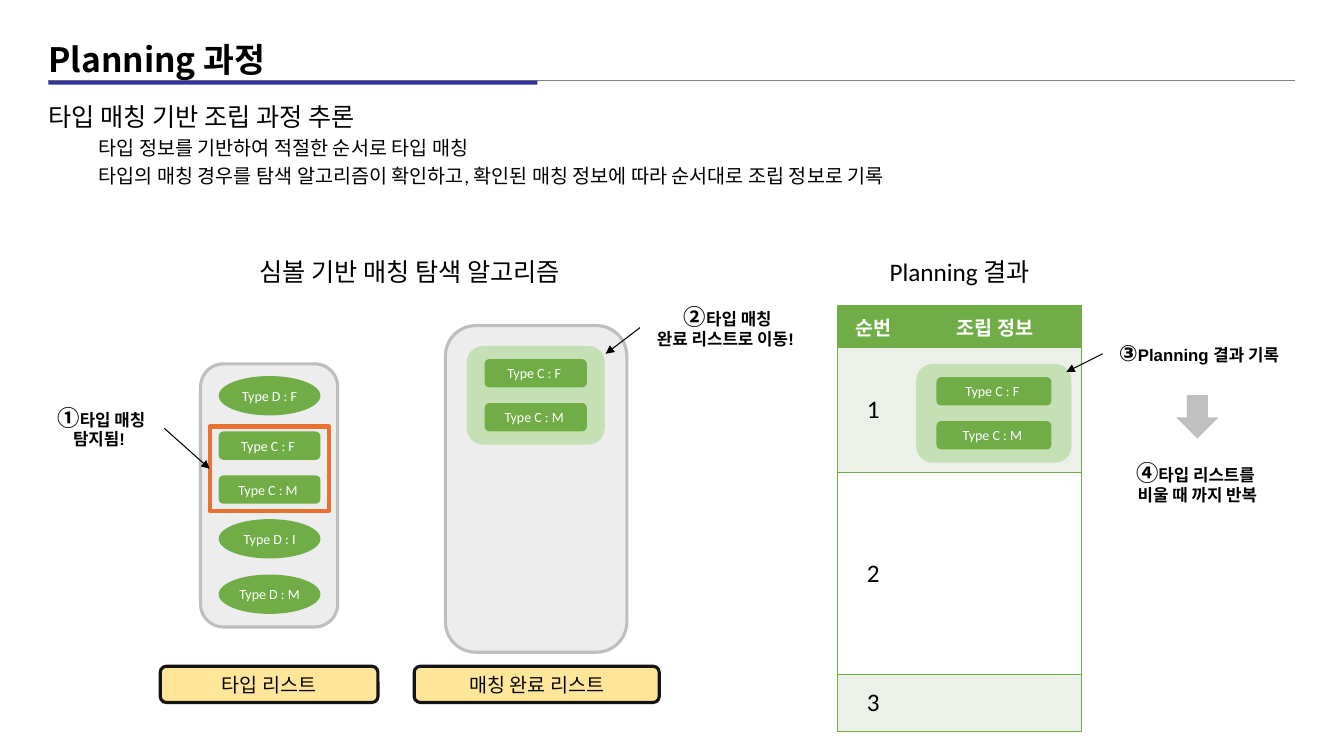
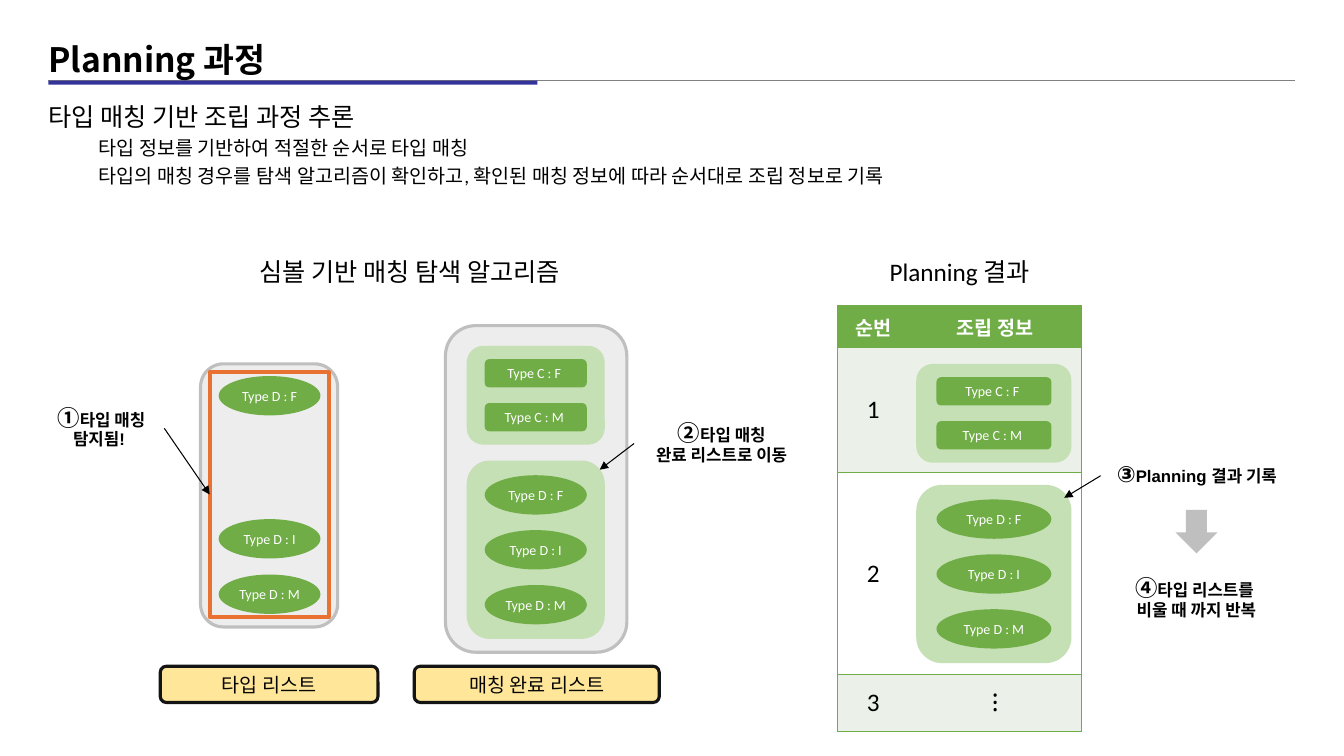
from copy import deepcopy
from dataclasses import dataclass

from lxml import etree
from pptx import Presentation
from pptx.dml.color import RGBColor
from pptx.enum.shapes import MSO_CONNECTOR, MSO_SHAPE
from pptx.enum.text import MSO_ANCHOR, PP_ALIGN
from pptx.oxml.ns import qn
from pptx.util import Pt

RECT, ROUND, OVAL, DOWN = (MSO_SHAPE.RECTANGLE, MSO_SHAPE.ROUNDED_RECTANGLE,
                           MSO_SHAPE.OVAL, MSO_SHAPE.DOWN_ARROW)
STRAIGHT = MSO_CONNECTOR.STRAIGHT
LEFT, CENTER = PP_ALIGN.LEFT, PP_ALIGN.CENTER
TOP, MIDDLE = MSO_ANCHOR.TOP, MSO_ANCHOR.MIDDLE
SIDE_LEFT, SIDE_RIGHT = 1, 3

BLACK = RGBColor(0x00, 0x00, 0x00)
WHITE = RGBColor(0xFF, 0xFF, 0xFF)
GREEN = RGBColor(0x70, 0xAD, 0x47)
PALE_GREEN = RGBColor(0xC5, 0xE0, 0xB4)
ROW_TINT = RGBColor(0xEB, 0xF1, 0xE9)
PANEL = RGBColor(0xED, 0xED, 0xED)
SILVER = RGBColor(0xBF, 0xBF, 0xBF)
RULE_GRAY = RGBColor(0x80, 0x80, 0x80)
NAVY = RGBColor(0x33, 0x33, 0x99)
CREAM = RGBColor(0xFF, 0xE6, 0x99)
INK = RGBColor(0x14, 0x14, 0x14)
LABEL_INK = RGBColor(0x06, 0x06, 0x06)
ORANGE = RGBColor(0xE9, 0x71, 0x32)

TITLE = dict(name="Noto Sans CJK KR", size=Pt(24), bold=True, color=BLACK)
HEADING = dict(name="Calibri", size=Pt(18), color=BLACK)
DETAIL = dict(name="Noto Sans CJK KR", size=Pt(14), color=BLACK)
DETAIL_CALIBRI = DETAIL | dict(name="Calibri")
LABEL = dict(name="Calibri", size=Pt(14), color=LABEL_INK)
CHIP = dict(name="Calibri", size=Pt(10), color=WHITE)
NUMBER = dict(name="Arial", size=Pt(16), bold=True, color=BLACK)
NOTE = NUMBER | dict(size=Pt(12))
TABLE_HEAD = dict(name="Calibri", size=Pt(14), bold=True, color=WHITE)
TABLE_BODY = HEADING | dict(bold=False)


@dataclass(frozen=True)
class Box:
    x: float
    y: float
    w: float
    h: float

    @property
    def pts(self) -> tuple:
        return Pt(self.x), Pt(self.y), Pt(self.w), Pt(self.h)


@dataclass(frozen=True)
class ChipKind:
    """A type family: its outline, chip height, spacing, card height and names."""
    shape: int
    height: float
    pitch: float
    card_height: float
    names: tuple


@dataclass(frozen=True)
class Step:
    """What changes between the slides."""
    cards: tuple  # (kind, y in finished list, y in result table)
    waiting: tuple  # (kind, name, y)
    frame: Box
    move_text: str
    move: Box
    record: Box
    record_drop: float
    repeat: Box
    last_cell: str


TYPE_C = ChipKind(ROUND, 20.2, 31.4, 70.6, ("Type C : F ", "Type C : M "))
TYPE_D = ChipKind(OVAL, 28.1, 39.2, 127.4, ("Type D : F", "Type D : I", "Type D : M"))
CARD_C, CARD_D = (TYPE_C, 247, 259.9), (TYPE_D, 329, 346.3)
WAITING_D = tuple((TYPE_D, n, y) for n, y in zip(TYPE_D.names, (268.6, 370.8, 410.4)))
WAITING_C = tuple((TYPE_C, n, y) for n, y in zip(TYPE_C.names, (308.2, 339.6)))

STEPS = (
    Step((CARD_C,), WAITING_D + WAITING_C, Box(149.8, 304.6, 85, 60.5),
         "완료 리스트로 이동! ", Box(457.2, 212.4, 125.3, 43.2),
         Box(787.7, 231.1, 137.5, 43.2), 13, Box(792.7, 324, 125.3, 43.2), ""),
    Step((CARD_C, CARD_D), WAITING_D, Box(149.8, 265.7, 85, 175),
         "완료 리스트로 이동", Box(452.9, 295.2, 125.3, 43.2),
         Box(786.2, 318.2, 137.5, 43.2), 15.8, Box(792, 406.1, 125.3, 43.2), "⁝"),
)


def add_runs(p, runs: list) -> None:
    """Fill a paragraph from (text, format) pairs; a newline becomes a line break."""
    for text, fmt in runs:
        for i, piece in enumerate(text.split("\n")):
            if i:
                p.add_line_break()
                p._p[-1].insert(0, deepcopy(r._r.rPr))
            r = p.add_run()
            r.text = piece
            for key, value in fmt.items():
                if key == "color":
                    r.font.color.rgb = value
                else:
                    setattr(r.font, key, value)


def add_text(shapes, box: Box, runs: list, align=CENTER, anchor=TOP, **spacing):
    sp = shapes.add_textbox(*box.pts)
    tf = sp.text_frame
    tf.word_wrap, tf.vertical_anchor = True, anchor
    p = tf.paragraphs[0]
    p.alignment = align
    for key, value in spacing.items():
        setattr(p, key, value)
    add_runs(p, runs)
    return sp


def add_box(shapes, kind: int, box: Box, fill=None, line=None, width: float = 2.25,
            runs: list = (), inset=None):
    sp = shapes.add_shape(kind, *box.pts)
    sp.shadow.inherit = False
    if fill is None:
        sp.fill.background()
    else:
        sp.fill.solid()
        sp.fill.fore_color.rgb = fill
    if line is None:
        sp.line.fill.background()
    else:
        sp.line.color.rgb, sp.line.width = line, Pt(width)
    tf = sp.text_frame
    tf.vertical_anchor = MIDDLE
    if inset is not None:
        for side in ("left", "top", "right", "bottom"):
            setattr(tf, f"margin_{side}", Pt(inset))
    if runs:
        tf.paragraphs[0].alignment = CENTER
        add_runs(tf.paragraphs[0], runs)
    return sp


def add_line(shapes, start: tuple, end: tuple, color: RGBColor, width: float):
    cx = shapes.add_connector(STRAIGHT, *(Pt(v) for v in start + end))
    cx.line.color.rgb, cx.line.width = color, Pt(width)
    etree.SubElement(cx._element.spPr, qn("a:effectLst"))
    return cx


def add_arrow(shapes, source, side: int, end: tuple):
    """Arrow from the middle of a callout's side to a point."""
    cx = add_line(shapes, (0, 0), end, BLACK, 0.75)
    cx.begin_connect(source, side)
    etree.SubElement(cx.line._get_or_add_ln(), qn("a:tailEnd"), type="triangle")
    return cx


def add_chip(shapes, kind: ChipKind, name: str, x: float, y: float, w: float) -> None:
    add_box(shapes, kind.shape, Box(x, y, w, kind.height), GREEN,
            runs=[(name, CHIP)], inset=0)


def add_card(shapes, kind: ChipKind, x: float, y: float, w: float) -> None:
    """Group of matched chips, centred on a pale card."""
    group = shapes.add_group_shape().shapes
    add_box(group, ROUND, Box(x, y, w, kind.card_height), PALE_GREEN)
    margin = 0.13 * w
    stack = kind.height + kind.pitch * (len(kind.names) - 1)
    top = y + (kind.card_height - stack) / 2
    for i, name in enumerate(kind.names):
        add_chip(group, kind, name, x + margin, top + i * kind.pitch, w - 2 * margin)


def add_callout(shapes, box: Box, number: str, text: str):
    return add_text(shapes, box, [(number, NUMBER), (text, NOTE)], anchor=MIDDLE,
                    line_spacing=0.9, space_before=Pt(10))


def set_borders(cell, outer_side: str) -> None:
    """Green borders, except on the side shared by the two columns."""
    tcPr = cell._tc.get_or_add_tcPr()
    for i, side in enumerate("LRTB"):
        ln = etree.Element(qn(f"a:ln{side}"), w=str(Pt(1)))
        if side in outer_side + "TB":
            fill = etree.SubElement(ln, qn("a:solidFill"))
            etree.SubElement(fill, qn("a:srgbClr"), val=str(GREEN))
        else:
            etree.SubElement(ln, qn("a:noFill"))
        tcPr.insert(i, ln)


def add_result_table(shapes, last_cell: str) -> None:
    rows = (("순번", "조립 정보"), ("1", ""), ("2", ""), ("3", last_cell))
    fills = (GREEN, ROW_TINT, WHITE, ROW_TINT)
    heights, widths = (30.2, 89.3, 144, 41), (51.1, 123.1)
    box = Box(598.3, 218.2, sum(widths), sum(heights))
    table = shapes.add_table(len(rows), len(widths), *box.pts).table
    for c, width in enumerate(widths):
        table.columns[c].width = Pt(width)
    for r, (texts, fill, height) in enumerate(zip(rows, fills, heights)):
        table.rows[r].height = Pt(height)
        for c, text in enumerate(texts):
            cell = table.cell(r, c)
            cell.fill.solid()
            cell.fill.fore_color.rgb = fill
            cell.vertical_anchor = MIDDLE
            set_borders(cell, "LR"[c])
            if text:
                p = cell.text_frame.paragraphs[0]
                p.alignment = CENTER
                add_runs(p, [(text, TABLE_BODY if r else TABLE_HEAD)])


def add_header(shapes) -> None:
    add_line(shapes, (34.6, 57.6), (925.2, 57.6), RULE_GRAY, 1)
    add_box(shapes, RECT, Box(34.6, 57.6, 349.2, 2.9), NAVY)
    add_text(shapes, Box(27.4, 24.5, 480.2, 36), [("Planning 과정", TITLE)], LEFT)
    sp = add_text(shapes, Box(27.4, 56.2, 987.8, 82.8),
                  [("타입 매칭 기반 조립 과정 추론", HEADING)], LEFT,
                  line_spacing=1.6, space_before=Pt(3.6))
    details = (
        [("타입 정보를 기반하여 적절한 순서로 타입 매칭", DETAIL)],
        [("타입의 매칭 경우를 ", DETAIL),
         ("탐색 알고리즘이 확인하고, 확인된 매칭 정보에 따라 순서대로 조립 정보로 기록",
          DETAIL_CALIBRI)],
    )
    for runs in details:
        p = sp.text_frame.add_paragraph()
        p.space_before = Pt(2.8)
        p._p.get_or_add_pPr().set("marL", str(Pt(36)))
        add_runs(p, runs)


def add_lists(shapes) -> None:
    """Headings, the two empty list panels and their labels."""
    for text, x, w in (("심볼 기반 매칭 탐색 알고리즘", 128.2, 329),
                       ("Planning 결과", 592.6, 185.8)):
        add_text(shapes, Box(x, 179.3, w, 28.8), [(text, HEADING)])
    for panel in (Box(143.3, 259.9, 97.9, 187.9), Box(318.2, 232.6, 129.6, 233.3)):
        add_box(shapes, ROUND, panel, PANEL, SILVER)
    for text, x, w in (("타입 리스트", 114.5, 155.5), ("매칭 완료 리스트", 295.9, 175)):
        add_box(shapes, ROUND, Box(x, 475.9, w, 25.9), CREAM, INK, runs=[(text, LABEL)])


def add_callouts(shapes, step: Step) -> None:
    frame = add_box(shapes, RECT, step.frame, line=ORANGE, width=3)
    found = add_callout(shapes, Box(27.4, 284.4, 90, 43.2), "①", "타입 매칭 탐지됨! ")
    add_arrow(shapes, found, SIDE_RIGHT, (0, 0)).end_connect(frame, SIDE_LEFT)

    move, record, repeat = step.move, step.record, step.repeat
    moved = add_callout(shapes, move, "②", "타입 매칭\n" + step.move_text)
    add_arrow(shapes, moved, SIDE_LEFT, (move.x - 24.5, move.y + move.h / 2 + 18.7))
    recorded = add_callout(shapes, record, "③", "Planning 결과 기록")
    add_arrow(shapes, recorded, SIDE_LEFT,
              (record.x - 26, record.y + record.h / 2 + step.record_drop))
    add_callout(shapes, repeat, "④", "타입 리스트를 \n비울 때 까지 반복")
    add_box(shapes, DOWN, Box(repeat.x + 47.5, repeat.y - 41.8, 30.2, 31), SILVER)


def add_step_slide(prs, step: Step) -> None:
    shapes = prs.slides.add_slide(prs.slide_layouts[6]).shapes
    add_result_table(shapes, step.last_cell)
    add_header(shapes)
    add_lists(shapes)
    for kind, name, y in step.waiting:
        add_chip(shapes, kind, name, 156.2, y, 72.7)
    for kind, list_y, result_y in step.cards:
        add_card(shapes, kind, 333.4, list_y, 98.6)
        add_card(shapes, kind, 654.5, result_y, 110.9)
    add_callouts(shapes, step)


def main() -> None:
    prs = Presentation()
    prs.slide_width, prs.slide_height = Pt(960), Pt(540)
    for step in STEPS:
        add_step_slide(prs, step)
    prs.save("out.pptx")


if __name__ == "__main__":
    main()
